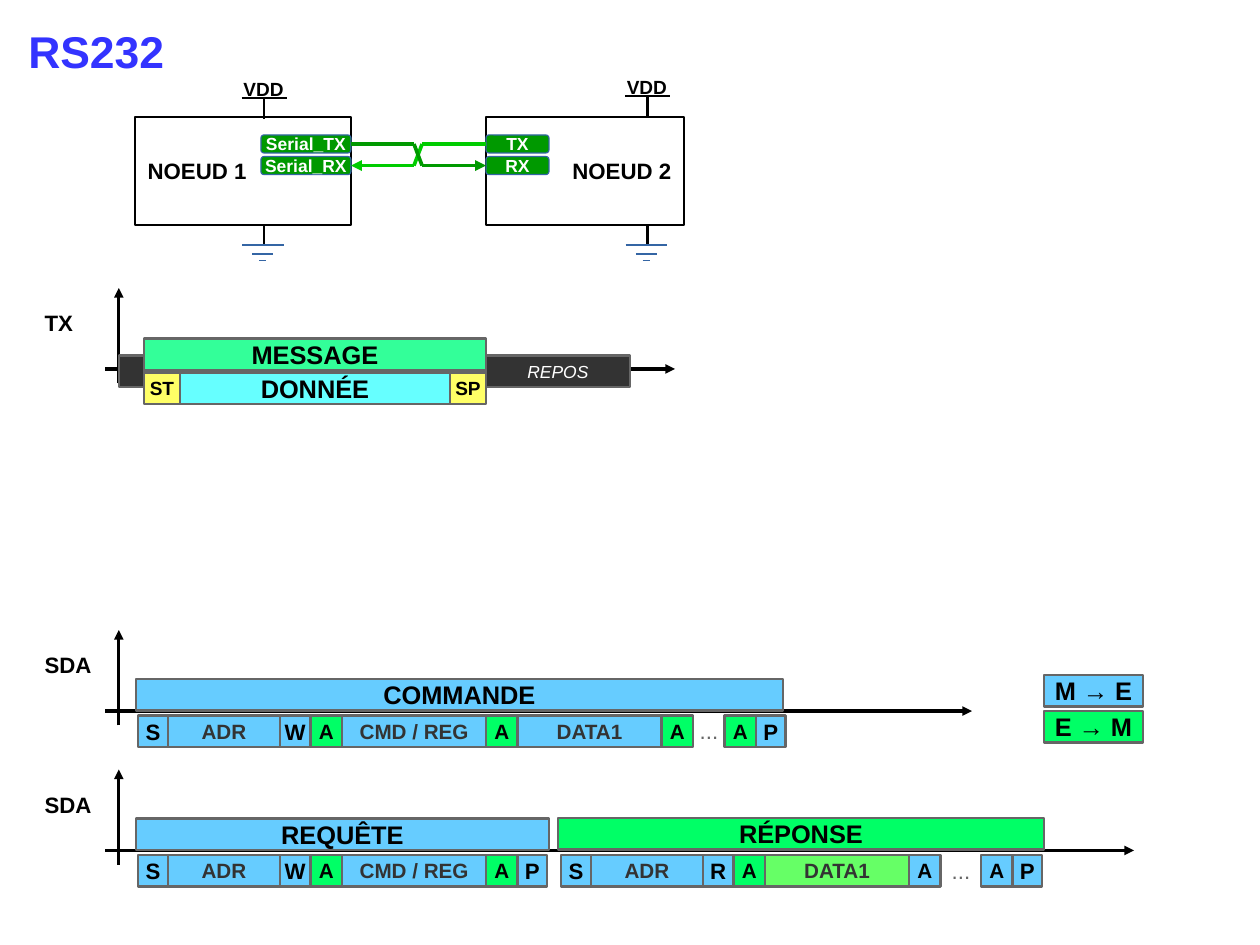
from lxml.etree import SubElement
from pptx import Presentation
from pptx.dml.color import RGBColor
from pptx.enum.shapes import MSO_CONNECTOR as Link, MSO_SHAPE as Form
from pptx.enum.text import MSO_ANCHOR as Anchor, PP_ALIGN as Align
from pptx.oxml.ns import qn
from pptx.util import Cm, Pt

hue = RGBColor.from_string
black, white, grey, dark = "000000", "FFFFFF", "666666", "333333"
sky, lime, blue = "66CCFF", "00FF66", "3465A4"
deep, fresh = "009900", "00CC00"

deck = Presentation()
deck.slide_width, deck.slide_height = Cm(28), Cm(21)
slide = deck.slides.add_slide(deck.slide_layouts[6])
shapes = slide.shapes


def box(x, y, wide, high, text="", size=14, ink=black, fill=None, edge=grey,
        width=1.5, form=Form.RECTANGLE, align=Align.CENTER, pad=0, **style):
    area = Cm(x), Cm(y), Cm(wide), Cm(high)
    if fill:
        item = shapes.add_shape(form, *area)
        item.shadow.inherit = False
        item.fill.solid()
        item.fill.fore_color.rgb = hue(fill)
        item.line.color.rgb = hue(edge)
        item.line.width = Pt(width)
        inset, anchor = 0, Anchor.MIDDLE
    else:
        item = shapes.add_textbox(*area)
        inset, pad, align, anchor = 0.13, 0.25, Align.LEFT, Anchor.TOP
    if not text:
        return
    frame = item.text_frame
    look = {"word_wrap": True, "vertical_anchor": anchor,
            "margin_left": Cm(pad), "margin_right": Cm(pad),
            "margin_top": Cm(inset), "margin_bottom": Cm(inset)}
    for name, value in look.items():
        setattr(frame, name, value)
    para = frame.paragraphs[0]
    para.alignment = align
    run = para.add_run()
    run.text = text
    run.font.color.rgb = hue(ink)
    face = {"name": "Arial", "size": Pt(size), "bold": True} | style
    for name, value in face.items():
        setattr(run.font, name, value)


def line(x1, y1, x2, y2, ink=black, width=1.42, arrow=False):
    wire = shapes.add_connector(Link.STRAIGHT, Cm(x1), Cm(y1), Cm(x2), Cm(y2))
    wire.line.color.rgb = hue(ink)
    wire.line.width = Pt(width)
    props = wire.element.spPr
    if arrow:
        SubElement(props.find(qn("a:ln")), qn("a:tailEnd"), type="triangle")
    SubElement(props, qn("a:effectLst"))


box(0.38, 0.41, 6.53, 1.5, "RS232", 28, "3333FF")

nodes = [
    (3, 4.8, "NOEUD 1", Align.LEFT, 5.87, 2.18, 5.8, 2, ("Serial_TX", "Serial_RX")),
    (10.8, 4.4, "NOEUD 2", Align.RIGHT, 14.39, 2.13, 10.8, 1.4, ("TX", "RX")),
]
for x, wide, name, align, mid, top, left, span, pins in nodes:
    box(x, 2.6, wide, 2.4, name, fill=white, edge=black, width=1, align=align, pad=0.28)
    line(mid, 5.44, mid, 4.98)
    for half, y in [(0.46, 5.44), (0.23, 5.64), (0.08, 5.79)]:
        line(mid - 0.03 - half, y, mid - 0.03 + half, y, blue, 1.13)
    line(mid - 0.5, top, mid + 0.5, top)
    box(mid - 0.71, top - 0.59, 1.5, 0.73, "VDD", 12)
    line(mid, top + 0.46, mid, top)
    for row, pin in enumerate(pins):
        box(left, 3 + 0.48 * row, span, 0.4, pin, 11, white, deep, blue, 0,
            Form.ROUNDED_RECTANGLE)

line(9.38, 3.68, 10.8, 3.68, deep, 2.3, True)
line(9.2, 3.68, 7.8, 3.68, fresh, 2.3, True)
line(9.38, 3.2, 10.8, 3.2, fresh, 2.3)
line(9.38, 3.2, 9.2, 3.68, fresh, 2.3)
line(7.8, 3.2, 9.2, 3.2, deep, 2.3)
line(9.38, 3.68, 9.2, 3.2, deep, 2.3)

for name, y, end in [("TX", 8.2, 15), ("SDA", 15.8, 21.6), ("SDA", 18.9, 25.2)]:
    line(2.34, y, end, y, width=0, arrow=True)
    line(2.64, y + 0.32, 2.64, y - 1.8, width=0, arrow=True)
    box(0.74, y - 1.45, 1.65, 0.81, name)

bars = [
    (3.2, 7.52, 7.6, "MESSAGE", 16, "33FF99"),
    (3.2, 8.28, 0.8, "ST", 12, "FFFF66"),
    (4, 8.28, 6, "DONNÉE", 16, "66FFFF"),
    (10, 8.28, 0.8, "SP", 12, "FFFF66"),
    (23.2, 15, 2.2, "M → E", 16, sky),
    (23.2, 15.8, 2.2, "E → M", 16, lime),
    (3.02, 15.09, 14.38, "COMMANDE", 16, sky),
    (12.4, 18.18, 10.8, "RÉPONSE", 16, lime),
    (3.02, 18.19, 9.18, "REQUÊTE", 16, sky),
]
for x, y, wide, text, size, fill in bars:
    box(x, y, wide, 0.7, text, size, fill=fill)
box(10.8, 7.9, 3.2, 0.7, "REPOS", 11, white, dark, bold=False, italic=True)
box(2.64, 7.9, 0.56, 0.7, fill=dark)

cells = {
    "S": (0.66, 14, black), "P": (0.66, 14, black),
    "W": (0.68, 14, black), "R": (0.68, 14, black),
    "A": (0.7, 13, black), "ADR": (2.49, 13, dark),
    "CMD / REG": (3.2, 13, dark), "DATA1": (3.2, 13, dark),
}
slave = {"A": lime}
reply = {"DATA1": "66FF66"}
trains = [
    (3.07, 15.9, slave, ["S", "ADR", "W", "A", "CMD / REG", "A", "DATA1", "A"]),
    (16.1, 15.9, slave, ["A", "P"]),
    (3.07, 19, slave, ["S", "ADR", "W", "A", "CMD / REG", "A", "P"]),
    (12.47, 19, slave, ["S", "ADR", "R", "A"]),
    (17, 19, reply, ["DATA1", "A"]),
    (21.8, 19, reply, ["A", "P"]),
]
for x, y, fills, words in trains:
    for word in words:
        wide, size, ink = cells[word]
        box(x, y, wide, 0.7, word, size, ink, fills.get(word, sky))
        x += wide
for x, y in [(15.3, 15.8), (20.9, 18.92)]:
    box(x, y, 1, 0.81, "...", ink=grey, bold=False)

deck.save("out.pptx")
